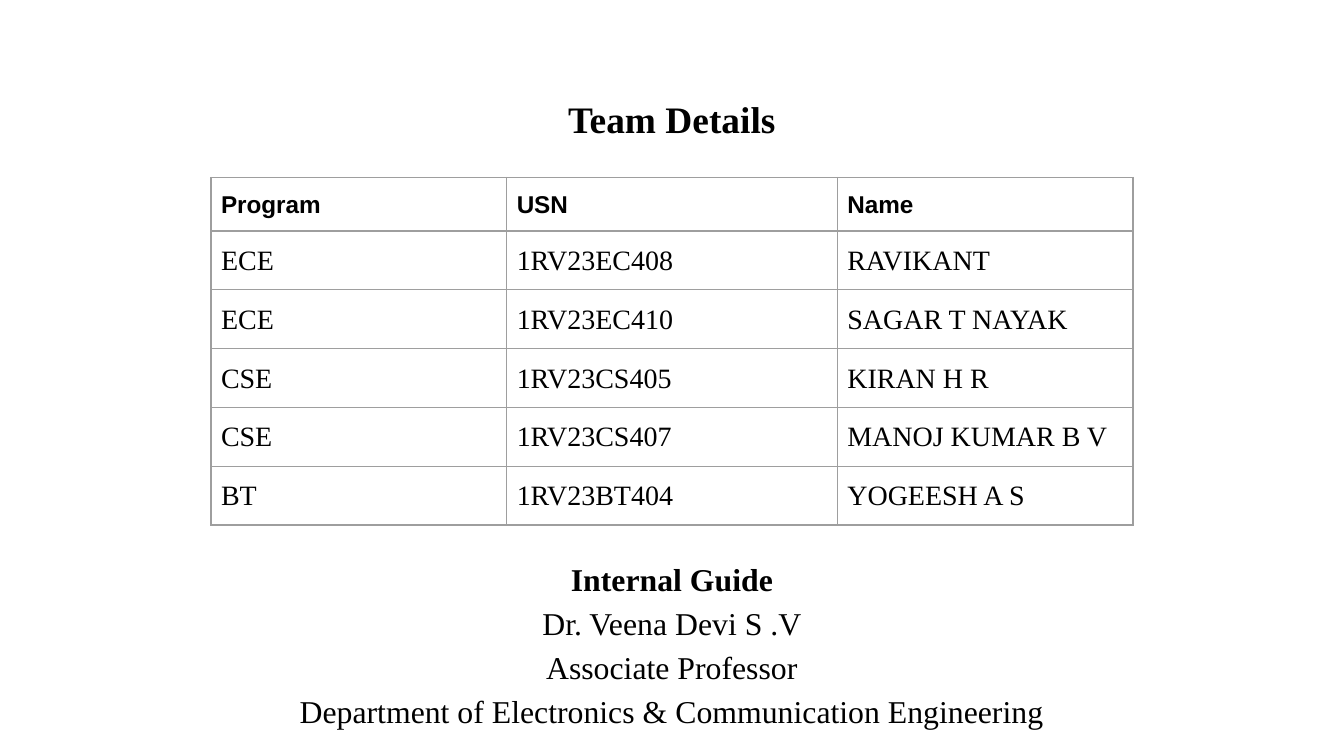
import pptx
import pptx.dml.color
import pptx.enum.text
import pptx.oxml.ns
import pptx.util
from lxml import etree

BLACK = pptx.dml.color.RGBColor(0x00, 0x00, 0x00)
BORDER_GREY = pptx.dml.color.RGBColor(0x9E, 0x9E, 0x9E)
SERIF = "Times New Roman"
SANS = "Arial"

SLIDE_WIDTH = 10
SLIDE_HEIGHT = SLIDE_WIDTH * 9 / 16
INSET = pptx.util.Pt(5.4)
LINE_SPACING = 1.15
COLUMN_WIDTHS = [2.2, 2.46, 2.2]
MINIMUM_ROW_HEIGHT = 0.28

TEAM = [
    ["Program", "USN", "Name"],
    ["ECE", "1RV23EC408", "RAVIKANT"],
    ["ECE", "1RV23EC410", "SAGAR T NAYAK"],
    ["CSE", "1RV23CS405", "KIRAN H R"],
    ["CSE", "1RV23CS407", "MANOJ KUMAR B V"],
    ["BT", "1RV23BT404", "YOGEESH A S"],
]
GUIDE = [
    "Internal Guide",
    "Dr. Veena Devi S .V",
    "Associate Professor",
    "Department of Electronics & Communication Engineering",
]


def inches(value):
    return pptx.util.Inches(value)


def set_margins(target):
    """Give a cell or text frame the same inset on every side."""
    target.margin_left = target.margin_right = INSET
    target.margin_top = target.margin_bottom = INSET


def format_paragraph(paragraph, font_name, size, bold, line_spacing=LINE_SPACING):
    paragraph.line_spacing = line_spacing
    paragraph.space_before = pptx.util.Pt(0)
    for run in paragraph.runs:
        run.font.name = font_name
        run.font.size = pptx.util.Pt(size)
        run.font.bold = bold
        run.font.color.rgb = BLACK


def place_centred(placeholder, top, width, height, text):
    """Centre a placeholder across the slide and fill it with centred text."""
    placeholder.left = inches((SLIDE_WIDTH - width) / 2)
    placeholder.top = inches(top)
    placeholder.width = inches(width)
    placeholder.height = inches(height)
    frame = placeholder.text_frame
    frame.text = text
    frame.word_wrap = True
    frame.auto_size = pptx.enum.text.MSO_AUTO_SIZE.SHAPE_TO_FIT_TEXT
    frame.vertical_anchor = pptx.enum.text.MSO_ANCHOR.TOP
    set_margins(frame)
    for paragraph in frame.paragraphs:
        paragraph.alignment = pptx.enum.text.PP_ALIGN.CENTER
    return frame.paragraphs


def remove_bullet(paragraph):
    properties = paragraph._p.get_or_add_pPr()
    properties.set("marL", "0")
    properties.set("indent", "0")
    etree.SubElement(properties, pptx.oxml.ns.qn("a:buNone"))


def add_title(slide):
    paragraphs = place_centred(slide.shapes.title, 0.64, 2.46, 0.49, "Team Details")
    format_paragraph(paragraphs[0], SERIF, 20, True, 1.0)


def add_guide(slide):
    paragraphs = place_centred(slide.placeholders[1], 4.05, 6.41, 1.42, "\n".join(GUIDE))
    for index, paragraph in enumerate(paragraphs):
        remove_bullet(paragraph)
        format_paragraph(paragraph, SERIF, 17, index == 0)


def add_borders(cell):
    properties = cell._tc.get_or_add_tcPr()
    for side in ("lnL", "lnR", "lnT", "lnB"):
        line = etree.SubElement(properties, pptx.oxml.ns.qn(f"a:{side}"))
        line.set("w", str(pptx.util.Pt(0.75)))
        fill = etree.SubElement(line, pptx.oxml.ns.qn("a:solidFill"))
        color = etree.SubElement(fill, pptx.oxml.ns.qn("a:srgbClr"))
        color.set("val", str(BORDER_GREY))


def add_team_table(slide):
    """Add the table; its rows grow from the minimum height to fit their text."""
    width = sum(COLUMN_WIDTHS)
    table = slide.shapes.add_table(
        len(TEAM), len(COLUMN_WIDTHS),
        inches((SLIDE_WIDTH - width) / 2), inches(1.32),
        inches(width), inches(MINIMUM_ROW_HEIGHT * len(TEAM)),
    ).table
    table.first_row = table.horz_banding = False
    for column, column_width in zip(table.columns, COLUMN_WIDTHS):
        column.width = inches(column_width)
    for row, texts in zip(table.rows, TEAM):
        is_header = texts is TEAM[0]
        for cell, text in zip(row.cells, texts):
            cell.text = text
            set_margins(cell)
            add_borders(cell)
            cell.fill.background()
            format_paragraph(
                cell.text_frame.paragraphs[0],
                SANS if is_header else SERIF, 13 if is_header else 15, is_header,
            )


def main():
    presentation = pptx.Presentation()
    presentation.slide_width = inches(SLIDE_WIDTH)
    presentation.slide_height = inches(SLIDE_HEIGHT)
    slide = presentation.slides.add_slide(presentation.slide_layouts[1])
    add_guide(slide)
    add_team_table(slide)
    add_title(slide)
    presentation.save("out.pptx")


if __name__ == "__main__":
    main()
